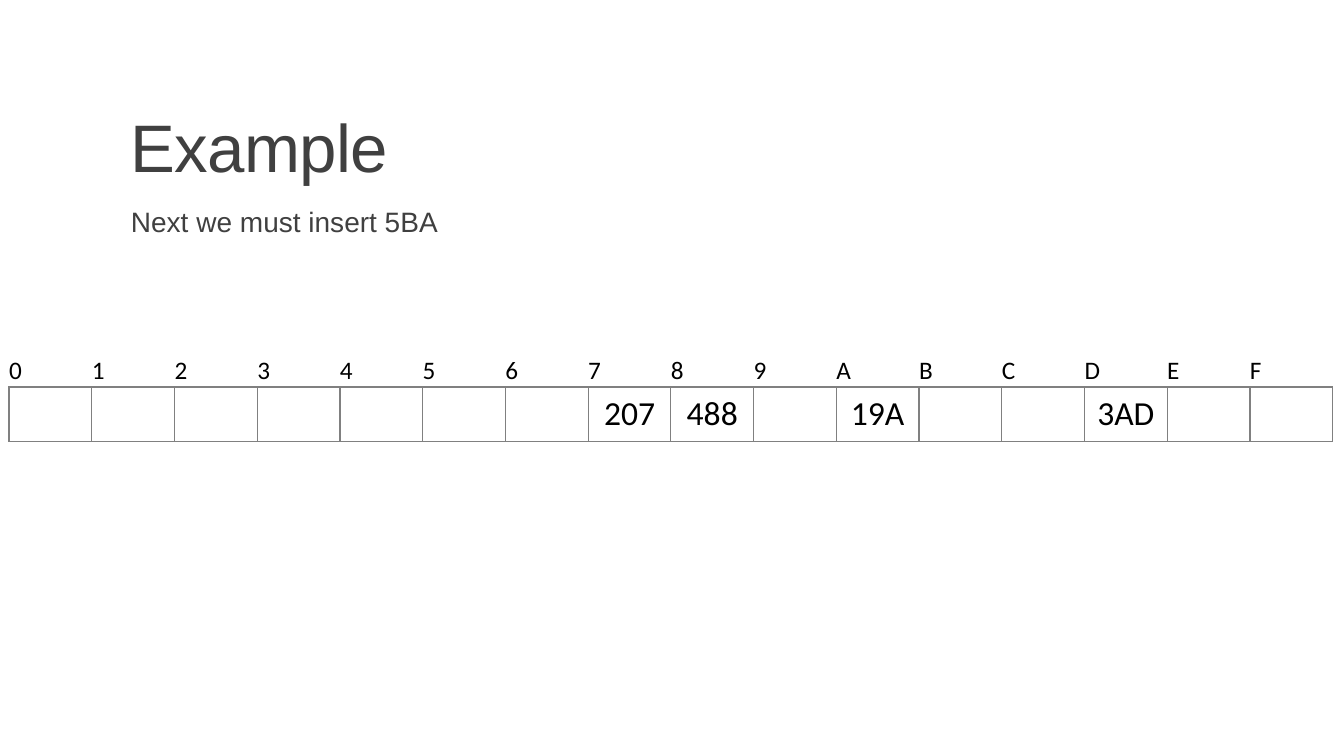
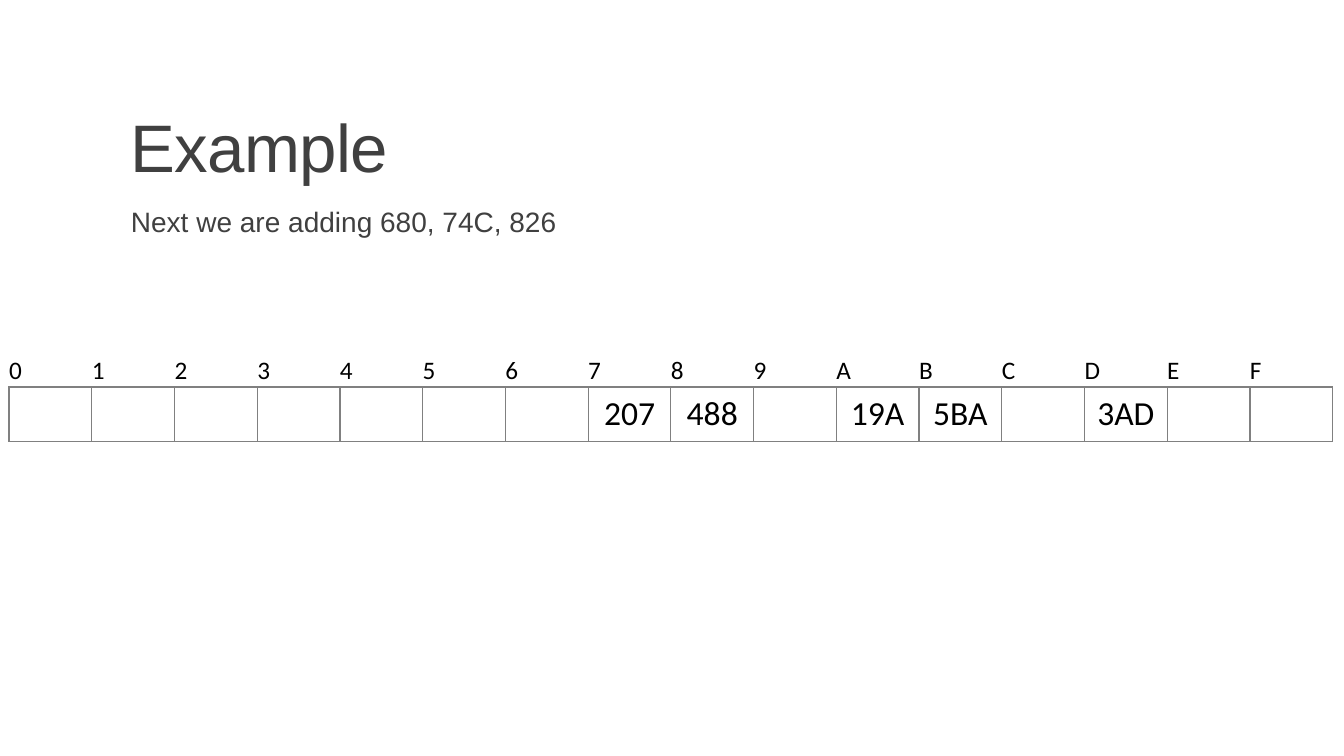
import pptx
import pptx.dml.color
import pptx.enum.text
import pptx.oxml
import pptx.oxml.ns
import pptx.util

PX = 9144
INK = pptx.dml.color.RGBColor(0x40, 0x40, 0x40)
BLACK = pptx.dml.color.RGBColor(0, 0, 0)
GREY = pptx.dml.color.RGBColor(0x80, 0x80, 0x80)

TITLE = (120, 31, 1100, 159)
BODY = (120, 202, 1100, 440)
GRID = (9, 351, 1313, 87)
HEAD = 33
KEYS = "0123456789ABCDEF"
START = {"7": "207", "8": "488", "A": "19A", "D": "3AD"}
PAGES = [
    ("Next we must insert 5BA", START),
    ("Next we are adding 680, 74C, 826", START | {"B": "5BA"}),
]

ANCHOR = pptx.enum.text.MSO_ANCHOR
ALIGN = pptx.enum.text.PP_ALIGN


def style(para, size, face, color):
    for run in para.runs:
        run.font.size = pptx.util.Pt(size)
        run.font.name = face
        run.font.bold = False
        run.font.color.rgb = color


def add_text(slide, box, text, size, anchor, pitch):
    frame = slide.shapes.add_textbox(*(n * PX for n in box)).text_frame
    frame.word_wrap = True
    frame.vertical_anchor = anchor
    frame.text = text
    para = frame.paragraphs[0]
    para.line_spacing = pitch
    style(para, size, "Arial", INK)
    return para


def add_title(slide, box):
    para = add_text(slide, box, "Example", 48, ANCHOR.BOTTOM, 0.85)
    para.runs[0]._r.get_or_add_rPr().set("spc", "-50")


def add_edge(cell, sides):
    props = cell._tc.get_or_add_tcPr()
    for side in "LRTB":
        if side in sides:
            paint = f'<a:solidFill><a:srgbClr val="{GREY}"/></a:solidFill>'
        else:
            paint = "<a:noFill/>"
        props.append(pptx.oxml.parse_xml(
            f'<a:ln{side} {pptx.oxml.ns.nsdecls("a")} w="12700">{paint}</a:ln{side}>'))


def set_cell(cell, text, size, align, sides):
    cell.margin_left = cell.margin_right = 0
    cell.margin_top = cell.margin_bottom = 0
    cell.vertical_anchor = ANCHOR.MIDDLE
    add_edge(cell, sides)
    cell.fill.background()
    cell.text_frame.text = text
    para = cell.text_frame.paragraphs[0]
    para.alignment = align
    style(para, size, "Calibri", BLACK)


def add_grid(slide, box, slots):
    left, top, width, height = (n * PX for n in box)
    table = slide.shapes.add_table(2, len(KEYS), left, top, width, height).table
    table.first_row = False
    table.horz_banding = False
    table.rows[0].height = HEAD * PX
    table.rows[1].height = height - HEAD * PX
    for col, key in enumerate(KEYS):
        table.columns[col].width = width // len(KEYS)
        set_cell(table.cell(0, col), key, 18, ALIGN.LEFT, "B")
        set_cell(table.cell(1, col), slots.get(key, ""), 24, ALIGN.CENTER, "LRTB")


def add_page(deck, text, slots):
    slide = deck.slides.add_slide(deck.slide_layouts[6])
    add_text(slide, BODY, text, 20, ANCHOR.TOP, 0.9)
    add_title(slide, TITLE)
    add_grid(slide, GRID, slots)


def main():
    deck = pptx.Presentation()
    deck.slide_width = 1333 * PX
    deck.slide_height = 750 * PX
    for text, slots in PAGES:
        add_page(deck, text, slots)
    deck.save("out.pptx")


if __name__ == "__main__":
    main()
